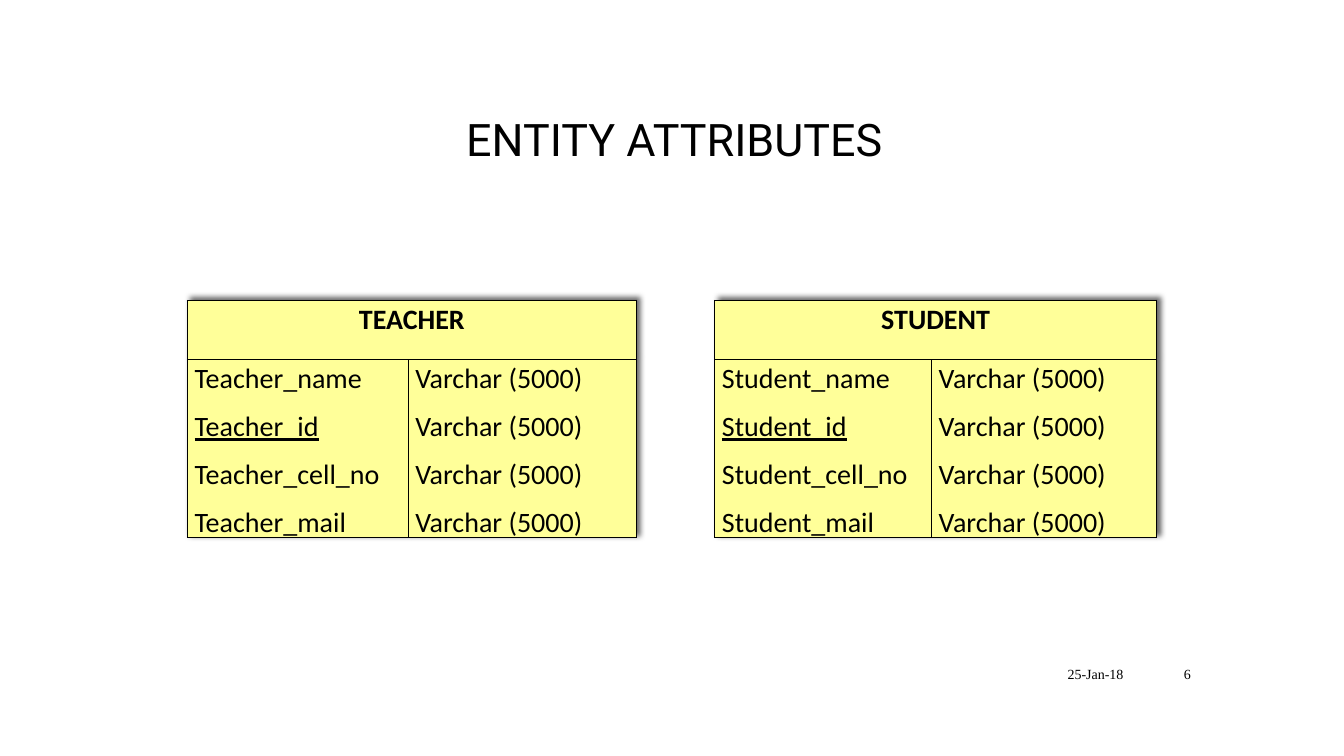
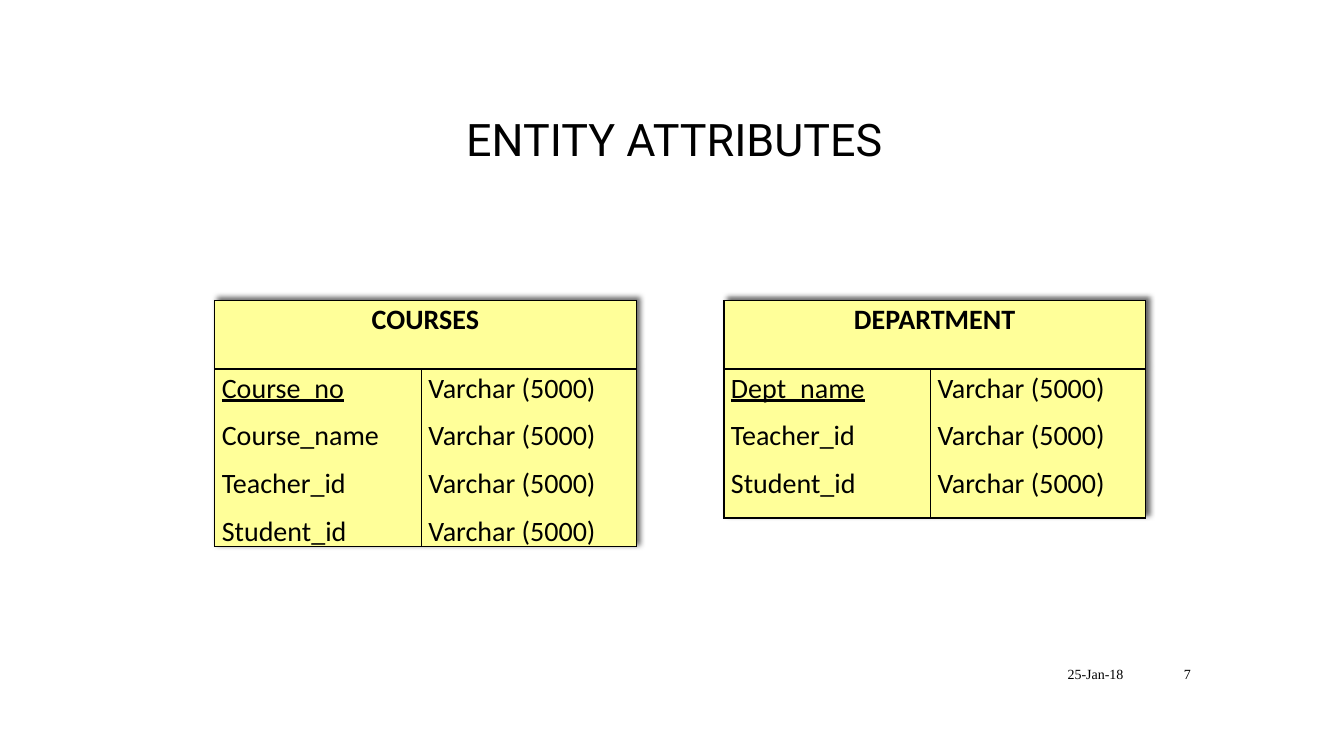
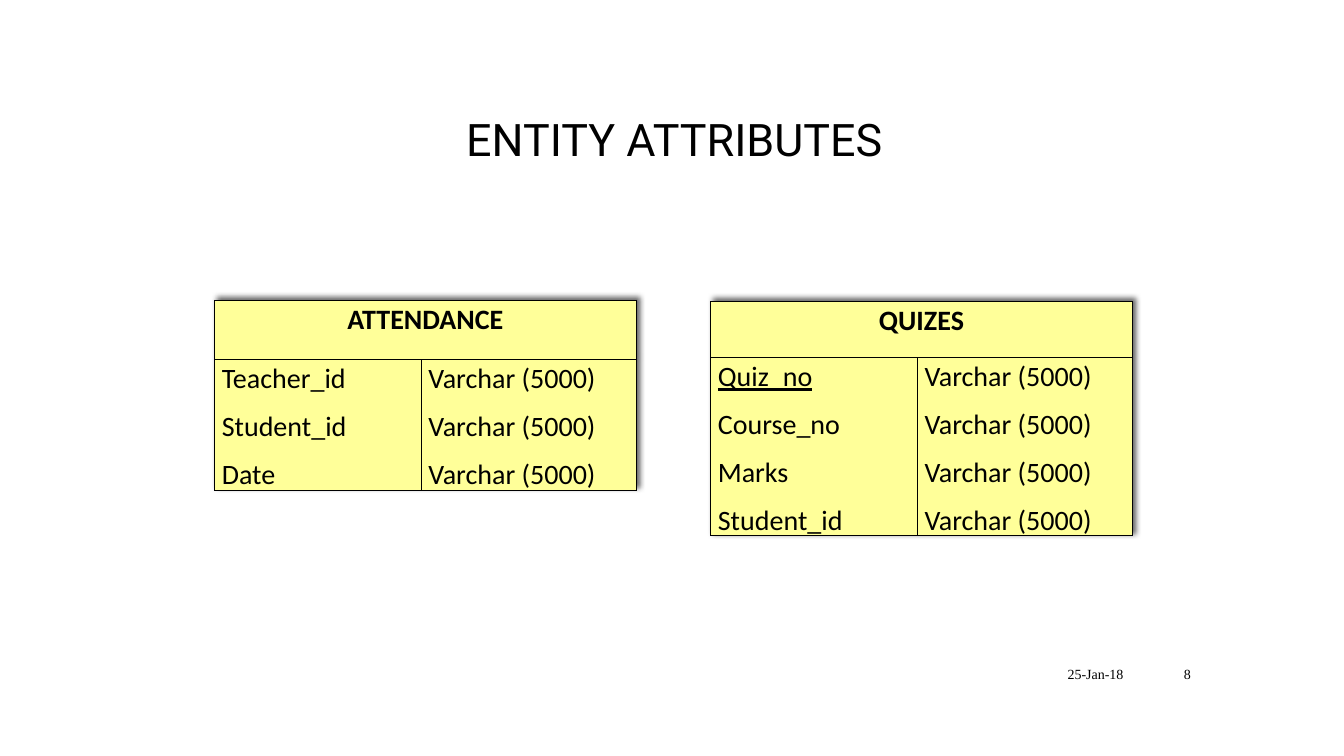
from dataclasses import dataclass

from lxml.etree import SubElement
from pptx import Presentation
from pptx.dml.color import RGBColor
from pptx.enum.text import MSO_ANCHOR as Anchor, MSO_AUTO_SIZE as AutoSize, PP_ALIGN as Align
from pptx.oxml import parse_xml
from pptx.oxml.ns import nsdecls, qn
from pptx.util import Inches, Pt

# Shared style
BLACK = "000000"
YELLOW = "FFFF99"
TITLE_FONT, TABLE_FONT, FOOTER_FONT = "Roboto", "Calibri", "Times New Roman"
TITLE = "ENTITY ATTRIBUTES"
DATE = "25-Jan-18"
DATA_TYPE = "Varchar (5000)"
FIRST_NUMBER = 6


@dataclass
class Entity:
    name: str
    left: float
    columns: tuple
    rows: tuple
    attributes: list
    key: str = ""
    top: float = 2.98


# One list of entities per slide
NARROW = (2.05, 2.13)
SLIDES = [
    [
        Entity("TEACHER", 1.86, (2.19, 2.26), (0.59, 1.09),
               ["Teacher_name", "Teacher_id", "Teacher_cell_no", "Teacher_mail"], "Teacher_id"),
        Entity("STUDENT", 7.09, (2.15, 2.23), (0.59, 1.09),
               ["Student_name", "Student_id", "Student_cell_no", "Student_mail"], "Student_id"),
    ],
    [
        Entity("COURSES", 2.13, NARROW, (0.68, 1.48),
               ["Course_no", "Course_name", "Teacher_id", "Student_id"], "Course_no"),
        Entity("DEPARTMENT", 7.18, NARROW, (0.68, 1.48),
               ["Dept_name", "Teacher_id", "Student_id"], "Dept_name"),
    ],
    [
        Entity("ATTENDANCE", 2.13, NARROW, (0.59, 1.09), ["Teacher_id", "Student_id", "Date"]),
        Entity("QUIZES", 7.05, NARROW, (0.56, 1.36),
               ["Quiz_no", "Course_no", "Marks", "Student_id"], "Quiz_no", top=2.99),
    ],
]


def color(value):
    return RGBColor.from_string(value)


def format_paragraph(para, font, size, align=Align.LEFT, bold=False):
    para.alignment = align
    for span in para.runs:
        span.font.name = font
        span.font.size = Pt(size)
        span.font.bold = bold
        span.font.color.rgb = color(BLACK)


def add_title(slide):
    title = slide.shapes.title
    title.left, title.top, title.width, title.height = map(Inches, (1.86, 1.06, 9.66, 0.64))
    frame = title.text_frame
    frame.text = TITLE
    frame.vertical_anchor = Anchor.TOP
    frame.auto_size = AutoSize.SHAPE_TO_FIT_TEXT
    format_paragraph(frame.paragraphs[0], TITLE_FONT, 32, Align.CENTER)


def add_footer(slide, number):
    for text, left, width in ((DATE, 9.49, 1.75), (str(number), 11.32, 0.59)):
        box = slide.shapes.add_textbox(*map(Inches, (left, 6.53, width, 0.31)))
        frame = box.text_frame
        frame.word_wrap = True
        frame.vertical_anchor = Anchor.MIDDLE
        frame.text = text
        format_paragraph(frame.paragraphs[0], FOOTER_FONT, 10, Align.RIGHT)


def add_borders(cell):
    properties = cell._tc.get_or_add_tcPr()
    for position, side in enumerate(("lnL", "lnR", "lnT", "lnB")):
        line = parse_xml(f'<a:{side} {nsdecls("a")} w="{Pt(1)}"/>')
        fill = SubElement(line, qn("a:solidFill"))
        SubElement(fill, qn("a:srgbClr"), val=BLACK)
        properties.insert(position, line)


def add_shadow(table):
    effects = parse_xml(
        f'<a:effectLst {nsdecls("a")}>'
        f'<a:outerShdw blurRad="{Pt(4)}" dist="{Pt(3)}" dir="18900000" algn="bl" rotWithShape="0">'
        f'<a:srgbClr val="{BLACK}"><a:alpha val="60000"/></a:srgbClr>'
        "</a:outerShdw></a:effectLst>")
    table._tbl.tblPr.insert(0, effects)


def fill_cell(cell, lines, align=Align.LEFT, bold=False, space_after=0, key=""):
    frame = cell.text_frame
    frame.text = "\n".join(lines)
    for para in frame.paragraphs:
        para.line_spacing = 1.07
        para.space_after = Pt(space_after)
        format_paragraph(para, TABLE_FONT, 20, align, bold)
        if para.text == key:
            para.runs[0].font.underline = True


def add_entity_table(slide, entity):
    frame = slide.shapes.add_table(
        2, 2, Inches(entity.left), Inches(entity.top),
        Inches(sum(entity.columns)), Inches(sum(entity.rows)))
    table = frame.table
    table.first_row = table.horz_banding = False
    for column, width in zip(table.columns, entity.columns):
        column.width = Inches(width)
    for row, height in zip(table.rows, entity.rows):
        row.height = Inches(height)
    for cell in table.iter_cells():
        cell.margin_left = cell.margin_right = Inches(0.07)
        cell.margin_top = cell.margin_bottom = 0
        cell.fill.solid()
        cell.fill.fore_color.rgb = color(YELLOW)
        add_borders(cell)
    add_shadow(table)

    # Heading across both columns, then attributes and their types
    heading = table.cell(0, 0)
    heading.merge(table.cell(0, 1))
    fill_cell(heading, [entity.name], Align.CENTER, bold=True)
    fill_cell(table.cell(1, 0), entity.attributes, space_after=8, key=entity.key)
    fill_cell(table.cell(1, 1), [DATA_TYPE] * len(entity.attributes), space_after=8)


def main():
    deck = Presentation()
    deck.slide_width, deck.slide_height = Inches(13.33), Inches(7.5)
    title_only = deck.slide_layouts[5]
    for number, entities in enumerate(SLIDES, FIRST_NUMBER):
        slide = deck.slides.add_slide(title_only)
        add_title(slide)
        for entity in entities:
            add_entity_table(slide, entity)
        add_footer(slide, number)
    deck.save("out.pptx")


if __name__ == "__main__":
    main()
